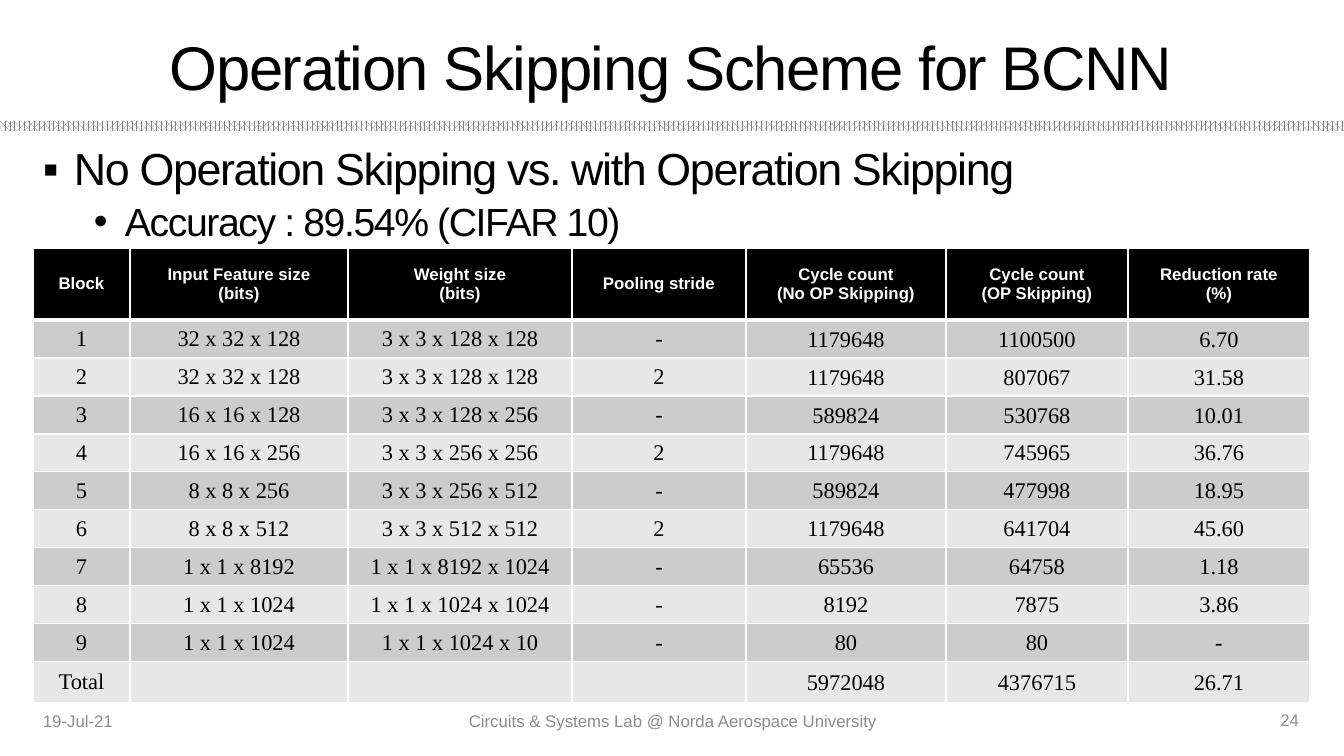
from dataclasses import dataclass
from typing import Optional

from lxml.etree import SubElement
from pptx import Presentation
from pptx.dml.color import RGBColor
from pptx.enum.dml import MSO_PATTERN
from pptx.enum.shapes import MSO_SHAPE
from pptx.enum.text import MSO_ANCHOR, PP_ALIGN
from pptx.oxml.ns import qn
from pptx.util import Emu, Pt

EMU_PER_PX = 914400 / 100.8
BLACK = RGBColor(0x00, 0x00, 0x00)
WHITE = RGBColor(0xFF, 0xFF, 0xFF)
BAND_GRAY = RGBColor(0x80, 0x80, 0x80)
FOOTER_GRAY = RGBColor(0x8C, 0x8C, 0x8C)
DARK_ROW = RGBColor(0xCC, 0xCC, 0xCC)
LIGHT_ROW = RGBColor(0xE7, 0xE7, 0xE7)

COLUMN_WIDTHS = [97, 218, 224, 174, 200, 182, 182]
HEADER_HEIGHT = 72
ROW_HEIGHT = 38
FIRST_RESULT_COLUMN = 4
HEADERS = [
    "Block", "Input Feature size\n(bits)", "Weight size\n(bits)", "Pooling stride",
    "Cycle count\n(No OP Skipping)", "Cycle count\n(OP Skipping)", "Reduction rate\n(%)",
]
ROWS = [
    ["1", "32 x 32 x 128", "3 x 3 x 128 x 128", "-", "1179648", "1100500", "6.70"],
    ["2", "32 x 32 x 128", "3 x 3 x 128 x 128", "2", "1179648", "807067", "31.58"],
    ["3", "16 x 16 x 128", "3 x 3 x 128 x 256", "-", "589824", "530768", "10.01"],
    ["4", "16 x 16 x 256", "3 x 3 x 256 x 256", "2", "1179648", "745965", "36.76"],
    ["5", "8 x 8 x 256", "3 x 3 x 256 x 512", "-", "589824", "477998", "18.95"],
    ["6", "8 x 8 x 512", "3 x 3 x 512 x 512", "2", "1179648", "641704", "45.60"],
    ["7", "1 x 1 x 8192", "1 x 1 x 8192 x 1024", "-", "65536", "64758", "1.18"],
    ["8", "1 x 1 x 1024", "1 x 1 x 1024 x 1024", "-", "8192", "7875", "3.86"],
    ["9", "1 x 1 x 1024", "1 x 1 x 1024 x 10", "-", "80", "80", "-"],
    ["Total", "", "", "", "5972048", "4376715", "26.71"],
]


@dataclass(frozen=True)
class Bullet:
    """A bullet sign with its level, indent and space before."""
    sign: str
    level: int
    left: int
    space_before: int


@dataclass(frozen=True)
class Label:
    """A single line of text in its own box."""
    text: str
    left: int
    top: int
    width: int
    height: int
    size: int
    color: RGBColor
    align: PP_ALIGN
    spacing: int = 0


@dataclass(frozen=True)
class Point:
    """A bulleted line of the body."""
    text: str
    size: int
    bullet: Bullet


LABELS = [
    Label("19-Jul-21", 33, 701, 302, 40, 12, FOOTER_GRAY, PP_ALIGN.LEFT),
    Label("Circuits & Systems Lab @ Norda Aerospace University",
          446, 701, 454, 40, 12, FOOTER_GRAY, PP_ALIGN.CENTER),
    Label("24", 1003, 700, 306, 40, 12, FOOTER_GRAY, PP_ALIGN.RIGHT),
    Label("Operation Skipping Scheme for BCNN",
          33, 22, 1276, 88, 44, BLACK, PP_ALIGN.CENTER, -1),
]
POINTS = [
    Point("No Operation Skipping vs. with Operation Skipping", 32, Bullet("▪", 0, 31, 10)),
    Point("Accuracy : 89.54% (CIFAR 10)", 28, Bullet("•", 1, 82, 5)),
]


def px(length: int) -> Emu:
    """Turn px into EMU."""
    return Emu(round(length * EMU_PER_PX))


def set_bullet(para, bullet: Bullet) -> None:
    """Give a paragraph its bullet, hanging indent and spacing."""
    para.level = bullet.level
    para.line_spacing = 0.9
    para.space_before = Pt(bullet.space_before)
    properties = para._p.get_or_add_pPr()
    properties.set("marL", str(px(bullet.left)))
    properties.set("indent", str(px(-31)))
    SubElement(properties, qn("a:buFont"), typeface="Arial")
    SubElement(properties, qn("a:buChar"), char=bullet.sign)


def write_text(para, text: str, *, size: int, color: RGBColor = BLACK, font: str = "Arial",
               bold: bool = False, align: PP_ALIGN = PP_ALIGN.LEFT, spacing: int = 0,
               bullet: Optional[Bullet] = None) -> None:
    """Write one formatted paragraph."""
    para.alignment = align
    if bullet:
        set_bullet(para, bullet)
    span = para.add_run()
    span.text = text
    span.font.size = Pt(size)
    span.font.name = font
    span.font.bold = bold
    span.font.color.rgb = color
    if spacing:
        span.font._element.set("spc", str(spacing * 100))


def add_frame(page, left: int, top: int, width: int, height: int, anchor: MSO_ANCHOR):
    """Add a wrapping text box and return its text frame."""
    box = page.shapes.add_textbox(px(left), px(top), px(width), px(height))
    frame = box.text_frame
    frame.word_wrap = True
    frame.vertical_anchor = anchor
    return frame


def add_label(page, label: Label) -> None:
    """Add a one-line label."""
    frame = add_frame(page, label.left, label.top, label.width, label.height, MSO_ANCHOR.MIDDLE)
    write_text(frame.paragraphs[0], label.text, size=label.size, color=label.color,
               align=label.align, spacing=label.spacing)


def add_band(page) -> None:
    """Add the patterned band under the title."""
    band = page.shapes.add_shape(MSO_SHAPE.RECTANGLE, px(0), px(121), px(1344), px(10))
    band.shadow.inherit = False
    band.line.fill.background()
    band.fill.patterned()
    band.fill.pattern = MSO_PATTERN.PERCENT_70
    band.fill.fore_color.rgb = BAND_GRAY
    band.fill.back_color.rgb = WHITE


def add_points(page) -> None:
    """Add the bulleted body."""
    frame = add_frame(page, 33, 142, 1276, 540, MSO_ANCHOR.TOP)
    for index, point in enumerate(POINTS):
        para = frame.add_paragraph() if index else frame.paragraphs[0]
        write_text(para, point.text, size=point.size, spacing=-1, bullet=point.bullet)


def set_borders(cell, top: int, bottom: int) -> None:
    """Give a cell white borders, with top and bottom widths in points."""
    properties = cell._tc.get_or_add_tcPr()
    for side, width in (("L", 1), ("R", 1), ("T", top), ("B", bottom)):
        line = SubElement(properties, qn(f"a:ln{side}"), w=str(Pt(width)))
        fill = SubElement(line, qn("a:solidFill"))
        SubElement(fill, qn("a:srgbClr"), val=str(WHITE))


def fill_cell(cell, text: str, row: int, column: int) -> None:
    """Write and format one table cell."""
    header = row == 0
    set_borders(cell, 3 if row == 1 else 1, 3 if header else 1)
    cell.fill.solid()
    cell.fill.fore_color.rgb = BLACK if header else DARK_ROW if row % 2 else LIGHT_ROW
    cell.vertical_anchor = MSO_ANCHOR.MIDDLE
    if not header and column >= FIRST_RESULT_COLUMN:
        cell.margin_left = cell.margin_right = cell.margin_top = px(1)
        cell.margin_bottom = px(0)
    for index, line in enumerate(text.split("\n")):
        para = cell.text_frame.add_paragraph() if index else cell.text_frame.paragraphs[0]
        write_text(para, line, size=12 if header else 16, color=WHITE if header else BLACK,
                   font="Arial" if header else "Times New Roman", bold=header,
                   align=PP_ALIGN.CENTER)


def add_results(page) -> None:
    """Add the table of cycle counts."""
    heights = [HEADER_HEIGHT] + [ROW_HEIGHT] * len(ROWS)
    table = page.shapes.add_table(len(heights), len(COLUMN_WIDTHS), px(33), px(248),
                                  px(sum(COLUMN_WIDTHS)), px(sum(heights))).table
    for column, width in zip(table.columns, COLUMN_WIDTHS):
        column.width = px(width)
    for row, (height, texts) in enumerate(zip(heights, [HEADERS] + ROWS)):
        table.rows[row].height = px(height)
        for column, text in enumerate(texts):
            fill_cell(table.cell(row, column), text, row, column)


def main() -> None:
    """Build and save the slide."""
    deck = Presentation()
    deck.slide_width, deck.slide_height = px(1344), px(756)
    page = deck.slides.add_slide(deck.slide_layouts[6])
    add_band(page)
    add_points(page)
    for label in LABELS:
        add_label(page, label)
    add_results(page)
    deck.save("out.pptx")


if __name__ == "__main__":
    main()
